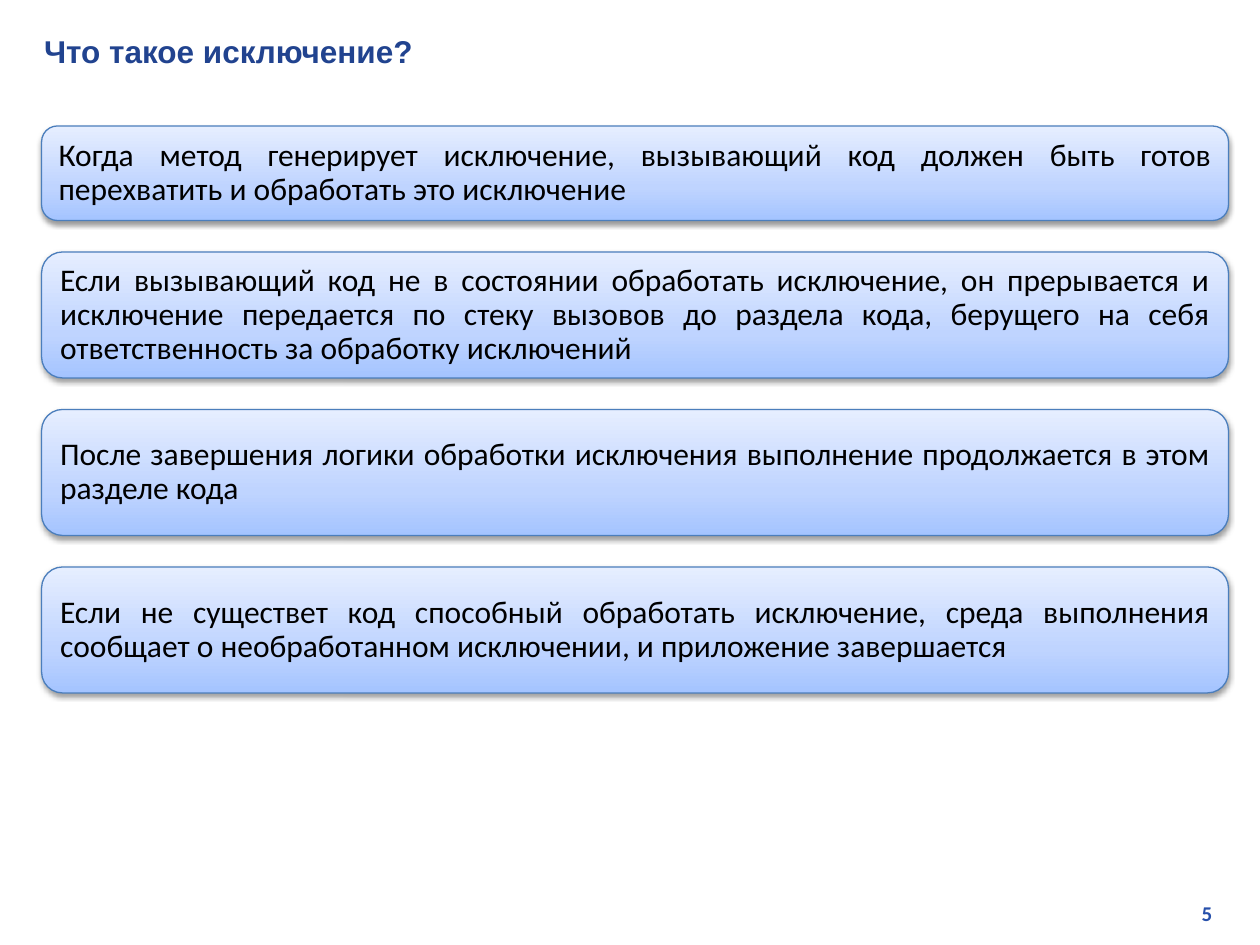
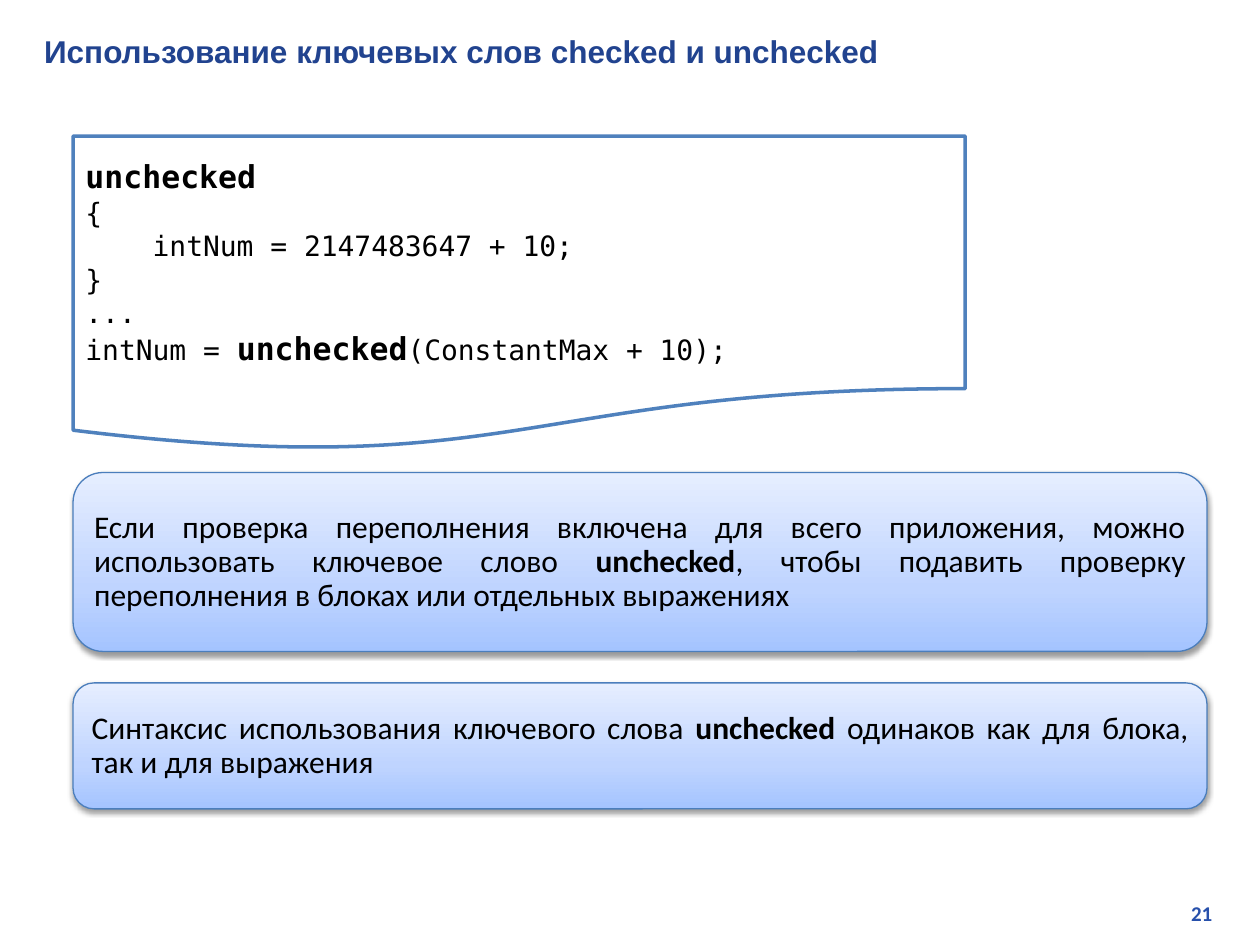
"""Two slides on C# exceptions and the unchecked keyword."""
from lxml import etree
from pptx import Presentation
from pptx import util as u
from pptx.dml.color import RGBColor
from pptx.enum import shapes, text
from pptx.oxml import parse_xml
from pptx.oxml.ns import nsdecls, qn

C = {
    "title": "21438F", "number": "2750AB", "text": "000000", "paper": "FFFFFF",
    "card_line": "4B7EBC", "code_line": "4F81BD", "shadow": "000000",
}
CARD_STOPS = [(0, "A4C4FF"), (35, "BFD4FF"), (100, "E6EEFF")]

SLIDES = [
    {
        "title": "Что такое исключение?", "number": "5", "left": 0.33, "width": 9.42,
        "cards": [
            (1, 0.75, ["Когда метод генерирует исключение, вызывающий код должен быть готов "
                       "перехватить и обработать это исключение"]),
            (2, 1, ["Если вызывающий код не в состоянии обработать исключение, он прерывается "
                    "и исключение передается по стеку вызовов до раздела кода, берущего на себя "
                    "ответственность за обработку исключений"]),
            (3.25, 1, ["После завершения логики обработки исключения выполнение продолжается "
                       "в этом разделе кода"]),
            (4.5, 1, ["Если не существет код способный обработать исключение, среда "
                      "выполнения сообщает о необработанном исключении, и приложение "
                      "завершается"]),
        ],
        "code": [],
    },
    {
        "title": "Использование ключевых слов checked и unchecked", "number": "21",
        "left": 0.58, "width": 9,
        "cards": [
            (3.75, 1.42, ["Если проверка переполнения включена для всего приложения, можно "
                          "использовать ключевое слово ", "unchecked",
                          ", чтобы подавить проверку переполнения в блоках или отдельных "
                          "выражениях"]),
            (5.42, 1, ["Синтаксис использования ключевого слова ", "unchecked",
                       " одинаков как для блока, так и для выражения"]),
        ],
        "code": [
            ["", "unchecked"],
            ["{"],
            ["    intNum = 2147483647 + 10;"],
            ["}"],
            ["..."],
            ["intNum = ", "unchecked", "(ConstantMax + 10);"],
        ],
    },
]


def add_runs(p, parts, font, size, color="text", bold_size=18):
    """Write parts as runs, every second one bold."""
    for i, part in enumerate(parts):
        if part:
            r = p.add_run()
            r.text = part
            r.font.name = font
            r.font.bold = i % 2 == 1
            r.font.size = u.Pt(bold_size if r.font.bold else size)
            r.font.color.rgb = RGBColor.from_string(C[color])


def add_box(s, kind, left, top, width, height, line, weight):
    """Add an outlined shape with wrapped, vertically centred text."""
    sp = s.shapes.add_shape(kind, u.Inches(left), u.Inches(top),
                            u.Inches(width), u.Inches(height))
    sp.shadow.inherit = False
    sp.line.color.rgb = RGBColor.from_string(C[line])
    sp.line.width = u.Pt(weight)
    sp.text_frame.word_wrap = True
    sp.text_frame.vertical_anchor = text.MSO_ANCHOR.MIDDLE
    return sp


prs = Presentation()
prs.slide_width, prs.slide_height = u.Inches(10), u.Inches(7.5)

for data in SLIDES:
    s = prs.slides.add_slide(prs.slide_layouts[5])

    title = s.shapes.title
    title.left, title.top = u.Inches(0.25), u.Inches(0.2)
    title.width, title.height = u.Inches(9.54), u.Inches(0.4)
    tf = title.text_frame
    tf.auto_size = text.MSO_AUTO_SIZE.NONE
    tf.vertical_anchor = text.MSO_ANCHOR.MIDDLE
    p = tf.paragraphs[0]
    p.alignment = text.PP_ALIGN.LEFT
    add_runs(p, ["", data["title"]], "Arial", 18, "title")

    for top, height, parts in data["cards"]:
        sp = add_box(s, shapes.MSO_SHAPE.ROUNDED_RECTANGLE, data["left"], top,
                     data["width"], height, "card_line", 0.75)
        sp.fill.gradient()
        sp.fill.gradient_angle = 90
        spPr = sp._element.spPr
        stops = spPr.find(qn("a:gradFill")).find(qn("a:gsLst"))
        for gs in list(stops):
            stops.remove(gs)
        for pos, color in CARD_STOPS:
            gs = etree.SubElement(stops, qn("a:gs"), pos=str(pos * 1000))
            etree.SubElement(gs, qn("a:srgbClr"), val=color)
        spPr.find(qn("a:effectLst")).append(parse_xml(
            f'<a:outerShdw {nsdecls("a")} blurRad="{u.Pt(3.1)}" dist="{u.Pt(1.6)}" '
            f'dir="5400000" rotWithShape="0"><a:srgbClr val="{C["shadow"]}">'
            '<a:alpha val="38000"/></a:srgbClr></a:outerShdw>'))
        p = sp.text_frame.paragraphs[0]
        p.alignment = text.PP_ALIGN.JUSTIFY
        p.line_spacing = 0.9
        add_runs(p, parts, "Calibri", 18)

    if data["code"]:
        sp = add_box(s, shapes.MSO_SHAPE.FLOWCHART_DOCUMENT, data["left"], 1.08,
                     7.08, 2.5, "code_line", 2)
        sp.fill.solid()
        sp.fill.fore_color.rgb = RGBColor.from_string(C["paper"])
        tf = sp.text_frame
        for i, parts in enumerate(data["code"]):
            p = tf.add_paragraph() if i else tf.paragraphs[0]
            p.alignment = text.PP_ALIGN.LEFT
            add_runs(p, parts, "DejaVu Sans Mono", 16)

    number = s.shapes.add_textbox(u.Inches(7.6), u.Inches(7.1), u.Inches(2.12), u.Inches(0.3))
    tf = number.text_frame
    tf.word_wrap = True
    tf.auto_size = text.MSO_AUTO_SIZE.SHAPE_TO_FIT_TEXT
    p = tf.paragraphs[0]
    p.alignment = text.PP_ALIGN.RIGHT
    add_runs(p, ["", data["number"]], "Calibri", 12, "number", 12)

prs.save("out.pptx")
